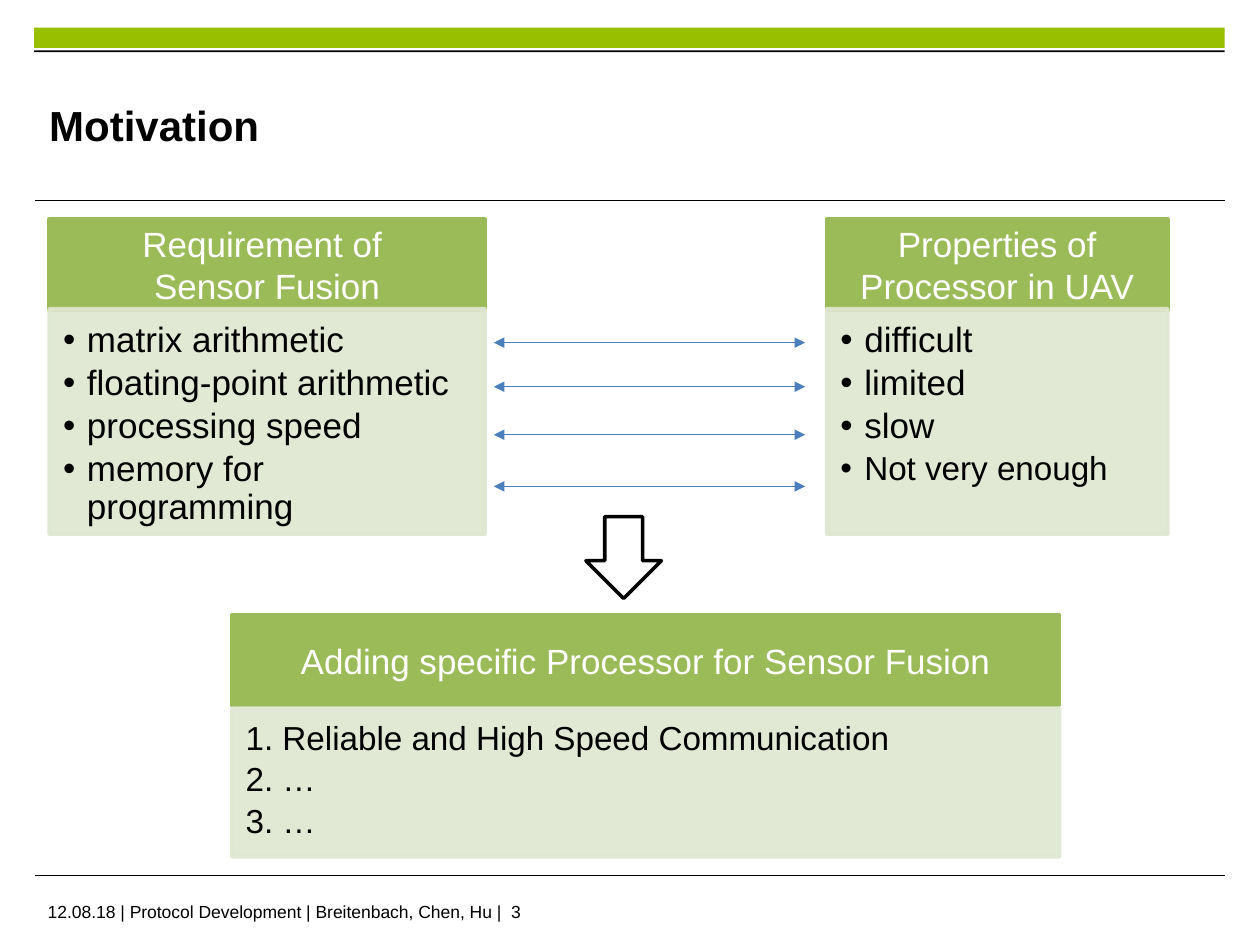
import pptx
import pptx.util
import pptx.dml.color
import pptx.enum.shapes
import pptx.enum.text
import pptx.oxml.ns
import lxml.etree

COLS, ROWS = 100, 75
UNIT = pptx.util.Inches(0.1)
GREEN, PALE, BLUE = "9BBB59", "DEE7D1", "4B7EBC"
BLACK, WHITE, LIME = "000000", "FFFFFF", "99C000"
RECT = pptx.enum.shapes.MSO_SHAPE.RECTANGLE
LEFT = pptx.enum.text.PP_ALIGN.LEFT
CENTER = pptx.enum.text.PP_ALIGN.CENTER
TOP = pptx.enum.text.MSO_ANCHOR.TOP
MIDDLE = pptx.enum.text.MSO_ANCHOR.MIDDLE


def cells(*vals):
    return [round(val * UNIT) for val in vals]


def tint(hue):
    return pptx.dml.color.RGBColor.from_string(hue)


def child(node, tag, **keys):
    return lxml.etree.SubElement(node, pptx.oxml.ns.qn(tag), **keys)


def place(shape, box):
    shape.left, shape.top, shape.width, shape.height = cells(*box)


def paint(shape, fill, edge=None, alpha=None):
    shape.fill.solid()
    shape.fill.fore_color.rgb = tint(fill)
    if edge:
        shape.line.color.rgb = tint(edge)
        shape.line.width = pptx.util.Pt(2)
    else:
        shape.line.fill.background()
    if alpha:
        for node in shape._element.spPr.iter(pptx.oxml.ns.qn("a:srgbClr")):
            child(node, "a:alpha", val=str(alpha * 1000))


def block(slide, kind, box, fill, edge=None):
    shape = slide.shapes.add_shape(kind, *cells(*box))
    shape.shadow.inherit = False
    paint(shape, fill, edge)
    return shape


def write(shape, lines, sizes, hue, pads, align=LEFT, anchor=TOP,
          bold=False, ratio=1, after=0, dent=None):
    frame = shape.text_frame
    frame.text = "\n".join(lines)
    frame.word_wrap = True
    frame.auto_size = pptx.enum.text.MSO_AUTO_SIZE.NONE
    frame.vertical_anchor = anchor
    (frame.margin_left, frame.margin_top,
     frame.margin_right, frame.margin_bottom) = cells(*pads)
    for para, size in zip(frame.paragraphs, sizes):
        para.alignment = align
        para.line_spacing = ratio
        para.space_before = pptx.util.Pt(0)
        para.space_after = pptx.util.Pt(after)
        para.font.name = "Arial"
        para.font.size = pptx.util.Pt(size)
        para.font.bold = bold
        para.font.color.rgb = tint(hue)
        if dent:
            step = cells(dent)[0]
            props = para._p.get_or_add_pPr()
            props.set("marL", str(step))
            props.set("indent", str(-step))


def card(head, body, box, split, title, items, sizes, dent=None):
    left, top, width, height = box
    place(head, (left, top, width, 7.2))
    place(body, (left, top + split, width, height - split))
    paint(head, GREEN, GREEN)
    paint(body, PALE, PALE, 90)
    write(head, title, [20] * len(title), WHITE, (1.5, 0.8, 1.5, 0.8),
          CENTER, MIDDLE)
    write(body, items, sizes, BLACK, (1.1, 1.1, 1.5, 1.7),
          ratio=0.9, after=3, dent=dent)


def rule(slide, left, right, row, hue, width, heads=False):
    kind = pptx.enum.shapes.MSO_CONNECTOR.STRAIGHT
    line = slide.shapes.add_connector(kind, *cells(left, row, right, row))
    line.line.color.rgb = tint(hue)
    line.line.width = pptx.util.Pt(width)
    if heads:
        for tag in ("a:headEnd", "a:tailEnd"):
            child(line.line._get_or_add_ln(), tag, type="triangle")
    child(line._element.spPr, "a:effectLst")


def frame(slide):
    block(slide, RECT, (2.7, 2.2, 94.5, 1.6), LIME)
    block(slide, RECT, (2.7, 4, 94.5, 0.15), BLACK)
    for row in (15.9, 69.5):
        rule(slide, 2.75, 97.25, row, BLACK, 0.6)
    foot = slide.shapes.add_textbox(*cells(2.8, 71, 81.1, 2.5))
    write(foot, ["12.08.18 | Protocol Development | Breitenbach, Chen, Hu |  3"],
          [10], BLACK, (1, 0.5, 1, 0.5))


def main():
    deck = pptx.Presentation()
    deck.slide_width, deck.slide_height = cells(COLS, ROWS)
    slide = deck.slides.add_slide(deck.slide_layouts.get_by_name("Comparison"))
    title, need, needs, trait, traits = slide.placeholders

    frame(slide)
    place(title, (3.9, 5.3, 72.6, 9.2))
    write(title, ["Motivation"], [24], BLACK, (0, 0, 0, 0),
          anchor=MIDDLE, bold=True)

    card(need, needs, (3.9, 17.4, 34.6, 25), 7.1,
         ["Requirement of ", "Sensor Fusion"],
         ["matrix arithmetic", "floating-point arithmetic",
          "processing speed", "memory for programming"],
         [20] * 4, 1.9)
    card(trait, traits, (65.6, 17.4, 27.1, 25), 7.1,
         ["Properties of Processor in UAV"],
         ["difficult", "limited", "slow", "Not very enough"],
         [20, 20, 20, 19], 1.9)

    for row in (27.2, 30.7, 34.5, 38.6):
        rule(slide, 39.2, 63.9, row, BLUE, 0.75, True)
    block(slide, pptx.enum.shapes.MSO_SHAPE.DOWN_ARROW,
          (46.5, 41, 6, 6.5), WHITE, BLACK)

    plan = (18.4, 48.8, 65.7, 19.2)
    head, body = [block(slide, RECT, plan, hue) for hue in (GREEN, PALE)]
    card(head, body, plan, 7.4,
         ["Adding specific Processor for Sensor Fusion"],
         ["1. Reliable and High Speed Communication", "2. …", "3. …"],
         [19] * 3)

    deck.save("out.pptx")


if __name__ == "__main__":
    main()
